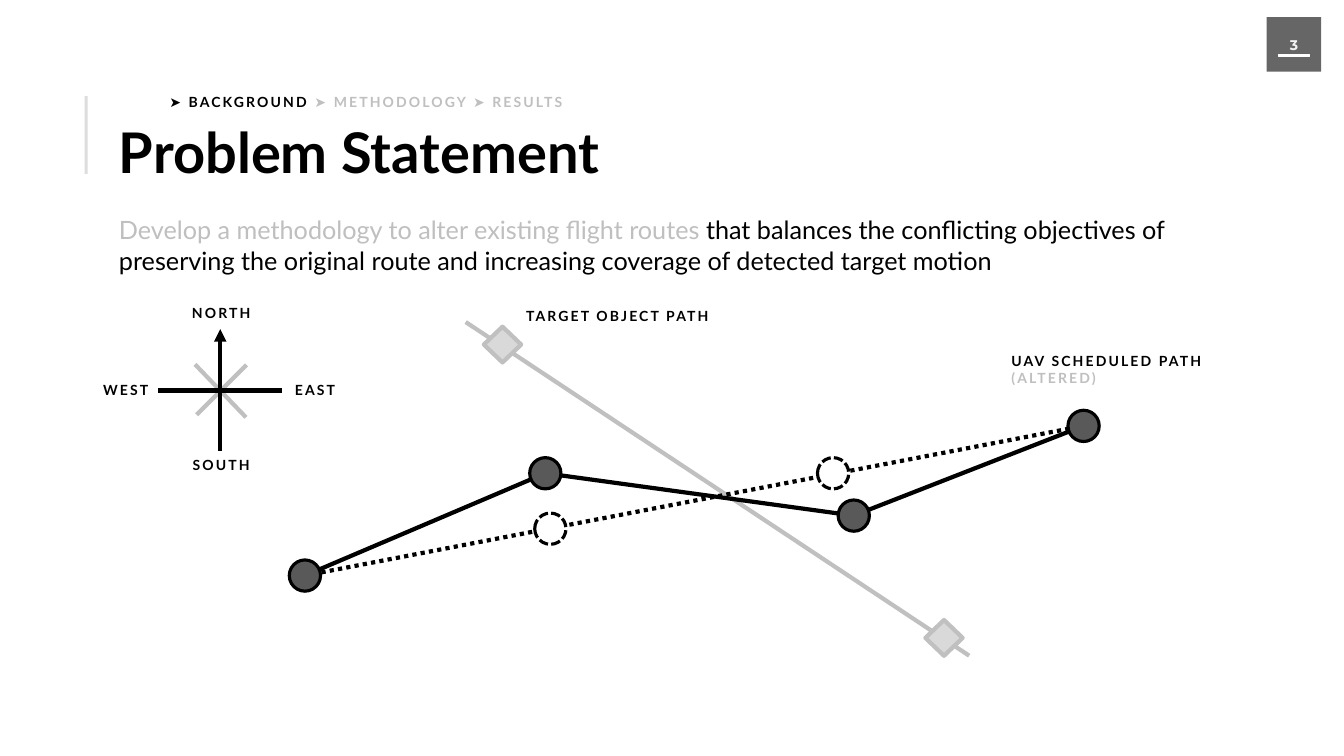
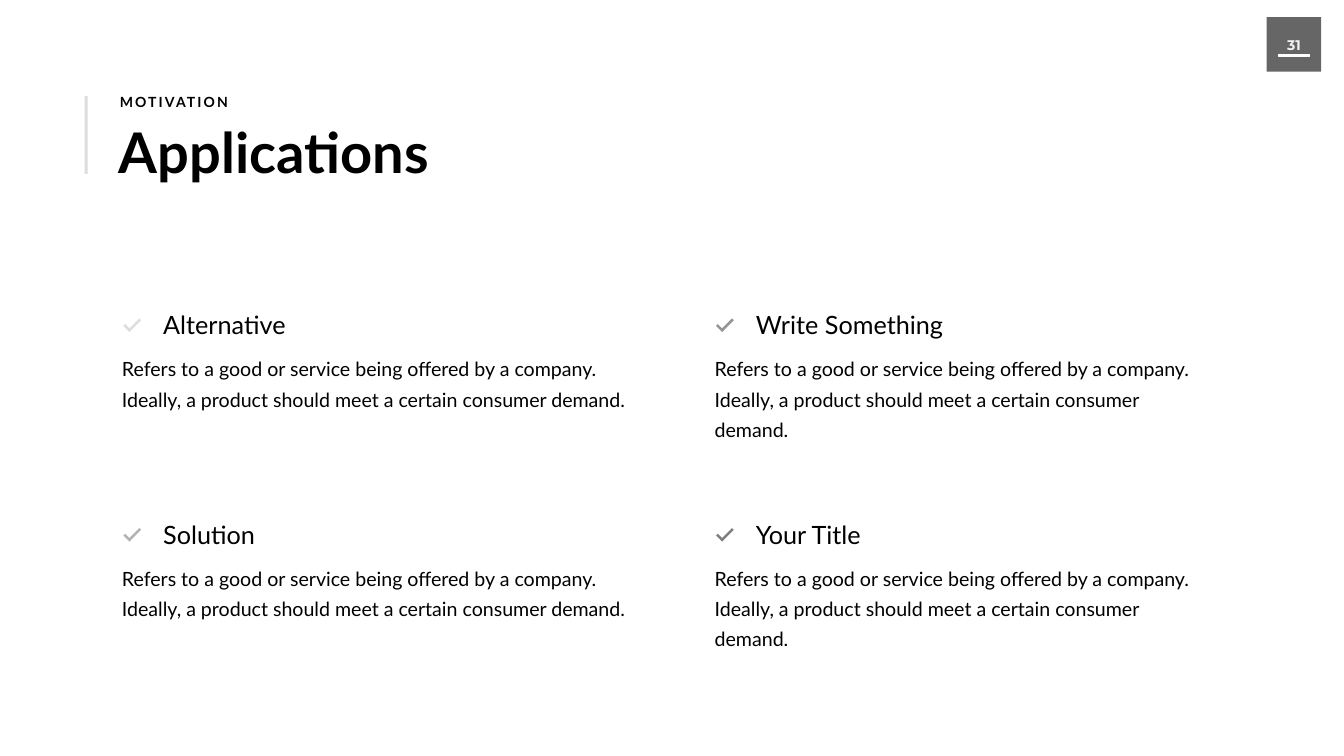
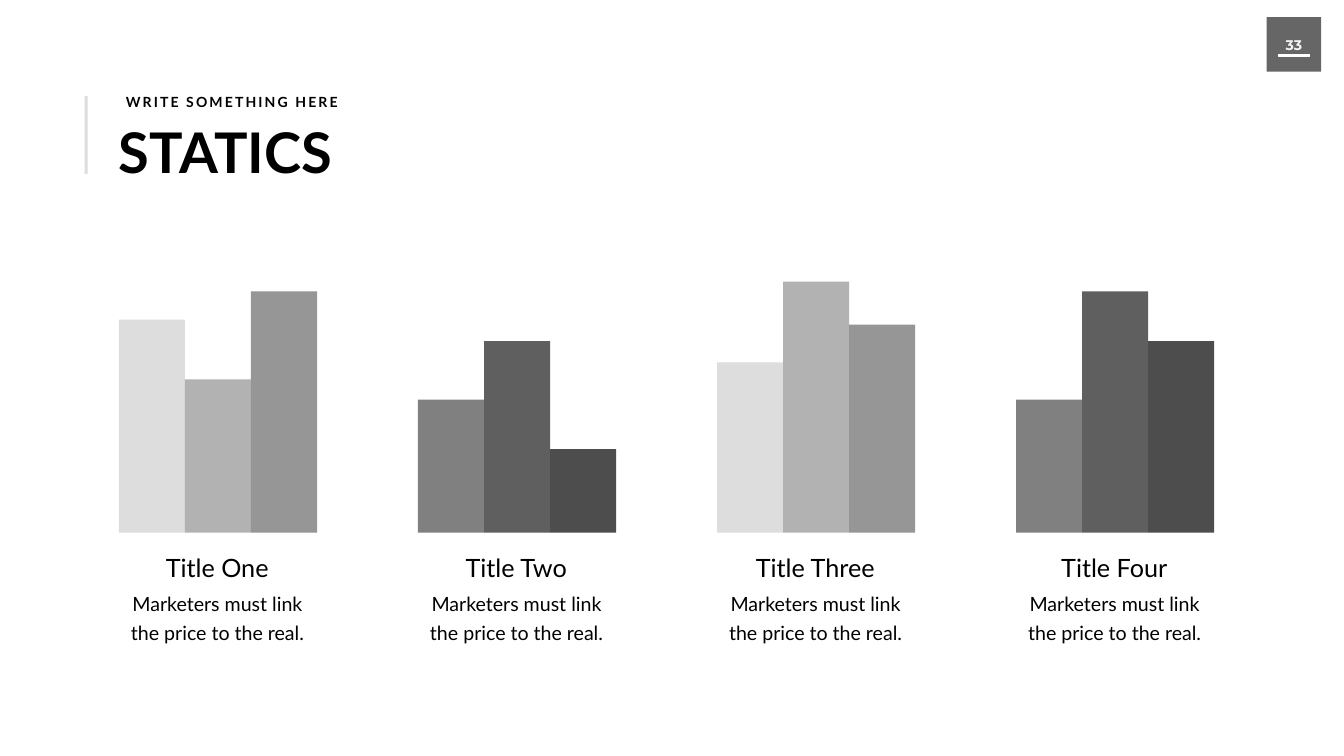
from dataclasses import dataclass
from itertools import pairwise, product
from typing import NamedTuple

from lxml.etree import SubElement
from pptx import Presentation
from pptx.dml.color import RGBColor
from pptx.enum.dml import MSO_LINE as Dash
from pptx.enum.shapes import MSO_CONNECTOR as Connector
from pptx.enum.shapes import MSO_SHAPE as Preset
from pptx.enum.text import MSO_ANCHOR as Anchor
from pptx.enum.text import MSO_AUTO_SIZE as AutoSize
from pptx.enum.text import PP_ALIGN as Align
from pptx.oxml.ns import qn
from pptx.util import Inches, Pt

SLIDE_WIDTH, SLIDE_HEIGHT = Inches(26.66), Inches(15)
COLUMNS, ROWS = 80, 45


@dataclass(frozen=True)
class Theme:
    font: str = "Lato"
    number_font: str = "Montserrat"
    ink: str = "000000"
    muted: str = "BFBFBF"
    paper: str = "FFFFFF"
    number: str = "F2F2F2"
    target_line: str = "C0C0C0"
    target_fill: str = "D9D9D9"
    waypoint: str = "595959"
    shades: tuple[str, ...] = ("DDDDDD", "B2B2B2", "969696", "808080", "5F5F5F", "4D4D4D")
    title_size: float = 80
    heading_size: float = 36
    body_size: float = 28
    label_size: float = 20
    route_width: float = 6
    outline_width: float = 4.5
    label_tracking: int = 300


THEME = Theme()


class Area(NamedTuple):
    column: float
    row: float
    columns: float
    rows: float

    def frame(self) -> tuple[int, int, int, int]:
        return (across(self.column), down(self.row), across(self.columns), down(self.rows))


class Point(NamedTuple):
    column: float
    row: float

    def area(self, columns: float, rows: float) -> Area:
        return Area(self.column - columns / 2, self.row - rows / 2, columns, rows)


class Span(NamedTuple):
    text: str
    color: str = THEME.ink


@dataclass(frozen=True)
class TextStyle:
    size: float
    font: str = THEME.font
    color: str = THEME.ink
    bold: bool = False
    align: Align = Align.LEFT
    tracking: int = 0
    line_points: float = 0
    indent: float = 0
    insets: tuple[float, float] = (0.1, 0.05)
    wrap: bool = True


TITLE = TextStyle(THEME.title_size, bold=True, wrap=False)
LABEL = TextStyle(THEME.label_size, bold=True, tracking=THEME.label_tracking)
CENTERED_LABEL = TextStyle(THEME.label_size, bold=True, align=Align.CENTER,
                           tracking=THEME.label_tracking)
EYEBROW = TextStyle(THEME.label_size, bold=True, align=Align.CENTER,
                    tracking=THEME.label_tracking, wrap=False)
BREADCRUMB = TextStyle(THEME.label_size, bold=True, tracking=THEME.label_tracking, indent=1)
NUMBER = TextStyle(THEME.label_size, THEME.number_font, THEME.number, True, Align.CENTER,
                   insets=(0.2, 0.1), wrap=False)
HEADING = TextStyle(THEME.heading_size)
CENTERED_HEADING = TextStyle(THEME.heading_size, align=Align.CENTER)
DESCRIPTION = TextStyle(THEME.body_size, line_points=43, insets=(0.24, 0.12))
CAPTION = TextStyle(THEME.body_size, align=Align.CENTER, line_points=40.8)


@dataclass(frozen=True)
class Header:
    number: str
    title: str
    title_columns: float
    eyebrow: tuple[Span, ...]
    eyebrow_column: float
    eyebrow_columns: float
    eyebrow_style: TextStyle = EYEBROW


class Label(NamedTuple):
    text: str
    area: Area
    style: TextStyle


class Feature(NamedTuple):
    heading: str
    shade: str


class BarGroup(NamedTuple):
    heading: str
    heights: tuple[float, float, float]
    shades: tuple[str, ...]


def across(columns: float) -> int:
    return round(SLIDE_WIDTH * columns / COLUMNS)


def down(rows: float) -> int:
    return round(SLIDE_HEIGHT * rows / ROWS)


def rgb(color: str) -> RGBColor:
    return RGBColor.from_string(color)


def write(box, paragraphs: list[tuple[Span, ...]], style: TextStyle) -> None:
    frame = box.text_frame
    frame.word_wrap = style.wrap
    frame.auto_size = AutoSize.SHAPE_TO_FIT_TEXT
    frame.vertical_anchor = Anchor.TOP
    frame.margin_left = frame.margin_right = Inches(style.insets[0])
    frame.margin_top = frame.margin_bottom = Inches(style.insets[1])
    for index, spans in enumerate(paragraphs):
        para = frame.add_paragraph() if index else frame.paragraphs[0]
        para.alignment = style.align
        para.space_before = Pt(0)
        if style.line_points:
            para.line_spacing = Pt(style.line_points)
        properties = para._p.get_or_add_pPr()
        properties.set("marL", str(Inches(style.indent)))
        properties.set("indent", "0")
        SubElement(properties, qn("a:buNone"))
        font = para.font
        font.name, font.size, font.bold = style.font, Pt(style.size), style.bold
        font.color.rgb = rgb(spans[0].color)
        if style.tracking:
            properties.find(qn("a:defRPr")).set("spc", str(style.tracking))
        for span in spans:
            run = para.add_run()
            run.text = span.text
            if span.color != spans[0].color:
                run.font.color.rgb = rgb(span.color)


def add_text(page, area: Area, text: str, style: TextStyle) -> None:
    write(page.shapes.add_textbox(*area.frame()), [(Span(text, style.color),)], style)


def fill_placeholder(box, area: Area, spans: tuple[Span, ...], style: TextStyle) -> None:
    box.left, box.top, box.width, box.height = area.frame()
    write(box, [spans], style)


def add_preset(shapes, preset: Preset, area: Area, fill: str, line: str = "",
               width: float = 0, dash: Dash | None = None):
    shape = shapes.add_shape(preset, *area.frame())
    shape.shadow.inherit = False
    shape.fill.solid()
    shape.fill.fore_color.rgb = rgb(fill)
    if line:
        shape.line.color.rgb = rgb(line)
        shape.line.width = Pt(width)
        if dash:
            shape.line.dash_style = dash
    else:
        shape.line.fill.background()
    return shape


def add_line(page, start: Point, end: Point, color: str = THEME.ink,
             dash: Dash | None = None, arrow: bool = False) -> None:
    line = page.shapes.add_connector(Connector.STRAIGHT, across(start.column), down(start.row),
                                     across(end.column), down(end.row))
    line.line.color.rgb = rgb(color)
    line.line.width = Pt(THEME.route_width)
    if dash:
        line.line.dash_style = dash
    properties = line._element.spPr
    if arrow:
        SubElement(properties.find(qn("a:ln")), qn("a:tailEnd"), type="triangle")
    SubElement(properties, qn("a:effectLst"))


def add_page(deck, layout: str, header: Header):
    page = deck.slides.add_slide(deck.slide_layouts.get_by_name(layout))
    badge = add_preset(page.shapes, Preset.RECTANGLE, Area(75.4, 1.02, 3.24, 3.24), THEME.ink)
    color = badge._element.spPr.find(qn("a:solidFill"))[0]
    SubElement(color, qn("a:alpha"), val="60000")
    add_text(page, Area(75.4, 1.86, 3.24, 1.62), header.number, NUMBER)
    add_preset(page.shapes, Preset.RECTANGLE, Area(76.12, 3.24, 1.8, 0.12),
               THEME.paper, THEME.paper, 1)
    add_preset(page.shapes, Preset.RECTANGLE, Area(5.04, 5.73, 0.18, 4.62), THEME.shades[0])
    fill_placeholder(page.shapes.title, Area(6.78, 6.87, header.title_columns, 4.35),
                     (Span(header.title),), TITLE)
    eyebrow = Area(header.eyebrow_column, 5.43, header.eyebrow_columns, 1.32)
    write(page.shapes.add_textbox(*eyebrow.frame()), [header.eyebrow], header.eyebrow_style)
    return page


def add_compass(page) -> None:
    add_line(page, Point(11.61, 21.69), Point(14.64, 24.84), THEME.target_line)
    add_line(page, Point(14.67, 21.72), Point(11.7, 24.69), THEME.target_line)
    add_line(page, Point(13.11, 26.82), Point(13.11, 19.59), arrow=True)
    add_line(page, Point(9.42, 23.25), Point(16.77, 23.25))


def add_problem_page(deck) -> None:
    header = Header("3", "Problem Statement", 31.23,
                    (Span("➤ BACKGROUND "), Span("➤ METHODOLOGY ➤ RESULTS", THEME.muted)),
                    6.78, 33.66, BREADCRUMB)
    page = add_page(deck, "Title and Content", header)
    statement = (
        Span("Develop a methodology to alter existing flight routes ", THEME.muted),
        Span("that balances the conflicting objectives of preserving the original route "
             "and increasing coverage of detected target motion"),
    )
    fill_placeholder(page.placeholders[1], Area(6.78, 12.63, 64.29, 3.93), statement, HEADING)
    add_compass(page)

    add_line(page, Point(27.72, 19.17), Point(57.69, 39.03), THEME.target_line)
    for center in (Point(29.91, 20.51), Point(56.19, 37.97)):
        add_preset(page.shapes, Preset.DIAMOND, center.area(2.22, 2.13),
                   THEME.target_fill, THEME.target_line, THEME.route_width)

    altered = (Point(18.15, 34.26), Point(32.46, 28.17), Point(50.82, 30.69), Point(64.5, 25.35))
    scheduled = (Point(32.76, 31.47), Point(49.59, 28.17))
    for start, end in pairwise(altered):
        add_line(page, start, end)
    add_line(page, altered[0], altered[-1], dash=Dash.ROUND_DOT)
    for centers, fill, dash in ((altered, THEME.waypoint, None),
                                (scheduled, THEME.paper, Dash.SQUARE_DOT)):
        for center in centers:
            circle = add_preset(page.shapes, Preset.OVAL, center.area(1.86, 1.86),
                                fill, THEME.ink, THEME.outline_width)
            if dash:
                circle.line.dash_style = Dash.DASH
                circle.line._ln.find(qn("a:prstDash")).set("val", "sysDash")

    labels = (
        Label("TARGET OBJECT PATH", Area(31.02, 18.18, 11.7, 1.32), LABEL),
        Label("NORTH", Area(10.92, 17.97, 4.5, 1.32), CENTERED_LABEL),
        Label("EAST", Area(17.1, 22.59, 3.3, 1.32), CENTERED_LABEL),
        Label("WEST", Area(5.73, 22.59, 3.51, 1.32), CENTERED_LABEL),
        Label("SOUTH", Area(10.92, 27.03, 4.5, 1.32), CENTERED_LABEL),
    )
    for label in labels:
        add_text(page, label.area, label.text, label.style)
    route_label = page.shapes.add_textbox(*Area(59.91, 20.82, 12.18, 2.31).frame())
    write(route_label, [(Span("UAV SCHEDULED PATH"),), (Span("(ALTERED)", THEME.muted),)], LABEL)


def add_check(page, column: float, row: float, shade: str) -> None:
    group = page.shapes.add_group_shape()
    strokes = ((Area(column, row + 0.18, 0.51, 0.15), 45),
               (Area(column + 0.21, row, 0.96, 0.15), 315))
    for area, angle in strokes:
        add_preset(group.shapes, Preset.RECTANGLE, area, shade).rotation = angle


def add_applications_page(deck) -> None:
    header = Header("31", "Applications", 20.34, (Span("MOTIVATION"),), 6.78, 7.14)
    page = add_page(deck, "Comparison", header)
    headings = ("Alternative", "Solution", "Write Something", "Your Title")
    features = [Feature(*pair) for pair in zip(headings, THEME.shades)]
    description = (Span("Refers to a good or service being offered by a company. "
                        "Ideally, a product should meet a certain consumer demand."),)
    cells = product(((6.54, 31.44), (41.82, 31.2)), (20.52, 33))
    bodies = [box for box in page.placeholders if box.placeholder_format.idx]
    for feature, body, ((column, columns), row) in zip(features, bodies, cells):
        fill_placeholder(body, Area(column, row, columns, 4.14), description, DESCRIPTION)
        add_text(page, Area(column + 2.88, row - 2.25, 18.45, 2.13), feature.heading, HEADING)
        add_check(page, column + 0.78, row - 1.25, feature.shade)


def add_statics_page(deck) -> None:
    header = Header("33", "STATICS", 13.89, (Span("WRITE SOMETHING HERE"),), 7.08, 13.44)
    page = add_page(deck, "Title Only", header)
    light, dark = THEME.shades[:3], THEME.shades[3:]
    groups = (
        BarGroup("Title One", (12.69, 9.12, 14.37), light),
        BarGroup("Title Two", (7.92, 11.4, 4.98), dark),
        BarGroup("Title Three", (10.14, 14.94, 12.39), light),
        BarGroup("Title Four", (7.92, 14.37, 11.4), dark),
    )
    first_column, group_pitch, bar_columns, base_row = 7.08, 17.8, 3.93, 31.71
    for index, group in enumerate(groups):
        column = first_column + index * group_pitch
        bars = page.shapes.add_group_shape()
        for position, (height, shade) in enumerate(zip(group.heights, group.shades)):
            area = Area(column + position * bar_columns, base_row - height, bar_columns, height)
            add_preset(bars.shapes, Preset.RECTANGLE, area, shade)
        add_text(page, Area(column - 0.15, 32.7, 12, 2.13), group.heading, CENTERED_HEADING)
        add_text(page, Area(column + 0.42, 34.8, 10.89, 3.57),
                 "Marketers must link the price to the real.", CAPTION)


def main() -> None:
    deck = Presentation()
    deck.slide_width, deck.slide_height = SLIDE_WIDTH, SLIDE_HEIGHT
    add_problem_page(deck)
    add_applications_page(deck)
    add_statics_page(deck)
    deck.save("out.pptx")


if __name__ == "__main__":
    main()
